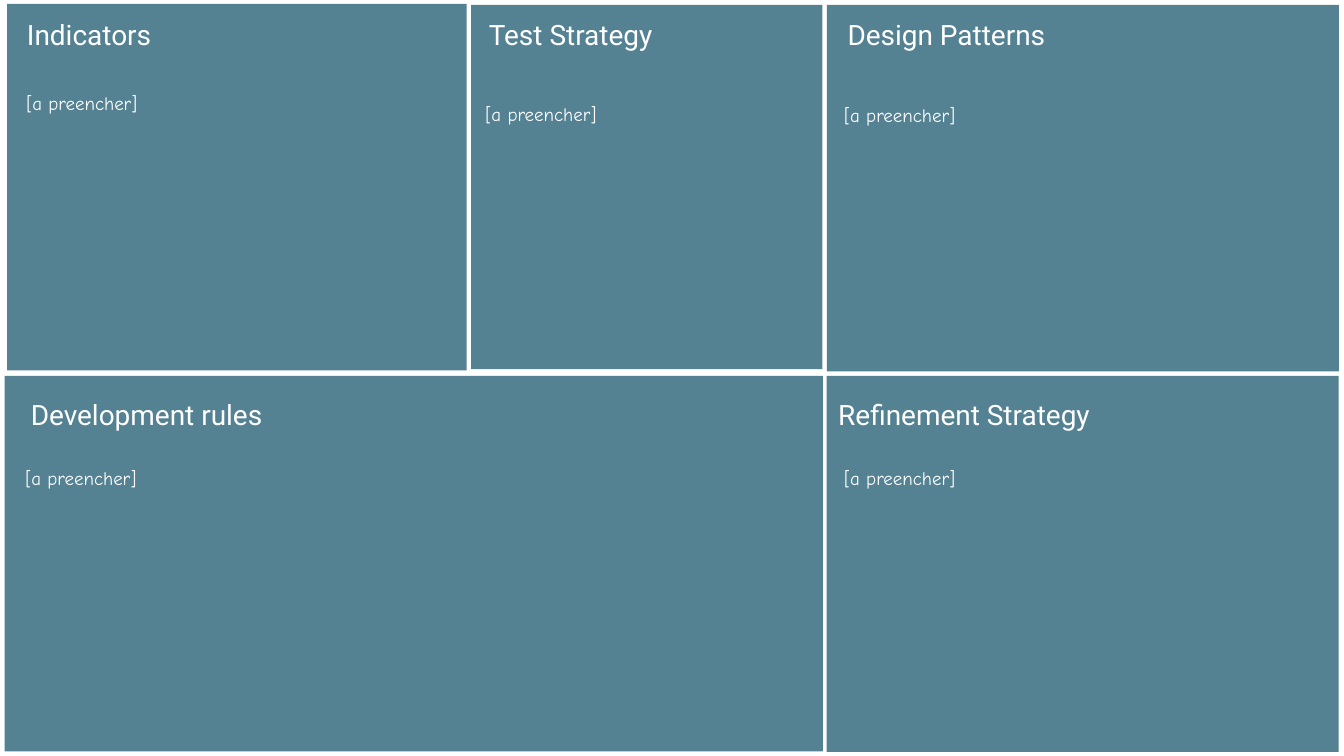
from pptx import Presentation
from pptx.dml.color import RGBColor
from pptx.enum import shapes, text
from pptx.util import Cm, Inches, Pt

TEAL = RGBColor(0x54, 0x82, 0x93)
WHITE = RGBColor(0xFF, 0xFF, 0xFF)
LEFT, CENTER = text.PP_ALIGN.LEFT, text.PP_ALIGN.CENTER
HEADING_HEIGHT, NOTE_HEIGHT = 1.83, 1.5
INSET = Cm(0.08)

# Heading, panel box, heading offset and width, alignment, wrap,
# note offset and width; all lengths in centimetres.
PANELS = [
    ("Indicators", (0.36, 0.2, 23.16, 18.47),
     (0.79, 0.61, 6.68), CENTER, False, (0.89, 4.22, 19.66)),
    ("Refinement Strategy", (41.66, 18.95, 25.81, 18.95),
     (0.51, 1.02, 15.21), LEFT, True, (0.81, 4.39, 24.23)),
    ("Design Patterns", (41.68, 0.25, 25.81, 18.47),
     (0.71, 0.56, 10.62), CENTER, False, (0.79, 4.8, 19.66)),
    ("Development rules", (0.23, 18.95, 41.25, 18.92),
     (-1.24, 1.02, 16.79), CENTER, True, (0.97, 4.39, 32.84)),
    ("Test Strategy", (23.75, 0.25, 17.7, 18.36),
     (0.64, 0.56, 8.74), CENTER, False, (0.64, 4.75, 16.41)),
]


def add_label(parent, box, words, font, size, align=LEFT, wrap=True):
    label = parent.shapes.add_textbox(*map(Cm, box))
    frame = label.text_frame
    frame.margin_left = frame.margin_right = INSET
    frame.margin_top = frame.margin_bottom = INSET
    frame.vertical_anchor = text.MSO_ANCHOR.MIDDLE
    frame.auto_size = text.MSO_AUTO_SIZE.SHAPE_TO_FIT_TEXT
    frame.word_wrap = wrap
    paragraph = frame.paragraphs[0]
    paragraph.alignment = align
    run = paragraph.add_run()
    run.text = words
    run.font.name = font
    run.font.size = Pt(size)
    run.font.color.rgb = WHITE


def add_panel(slide, heading, box, heading_place, align, wrap, note_place):
    """Group a filled panel with its heading and its note to fill in."""
    left, top, _, _ = box

    def inside(place, height):
        dx, dy, width = place
        return left + dx, top + dy, width, height

    panel = slide.shapes.add_group_shape()
    background = panel.shapes.add_shape(
        shapes.MSO_SHAPE.RECTANGLE, *map(Cm, box))
    background.shadow.inherit = False
    background.fill.solid()
    background.fill.fore_color.rgb = TEAL
    background.line.fill.background()
    add_label(panel, inside(heading_place, HEADING_HEIGHT), heading,
              "Roboto", 40, align, wrap)
    add_label(panel, inside(note_place, NOTE_HEIGHT), "[a preencher]",
              "Comic Neue", 27)


def main():
    deck = Presentation()
    deck.slide_width, deck.slide_height = Inches(26.67), Inches(15)
    slide = deck.slides.add_slide(deck.slide_layouts[6])
    slide.background.fill.solid()
    slide.background.fill.fore_color.rgb = WHITE
    for panel in PANELS:
        add_panel(slide, *panel)
    deck.save("out.pptx")


if __name__ == "__main__":
    main()
